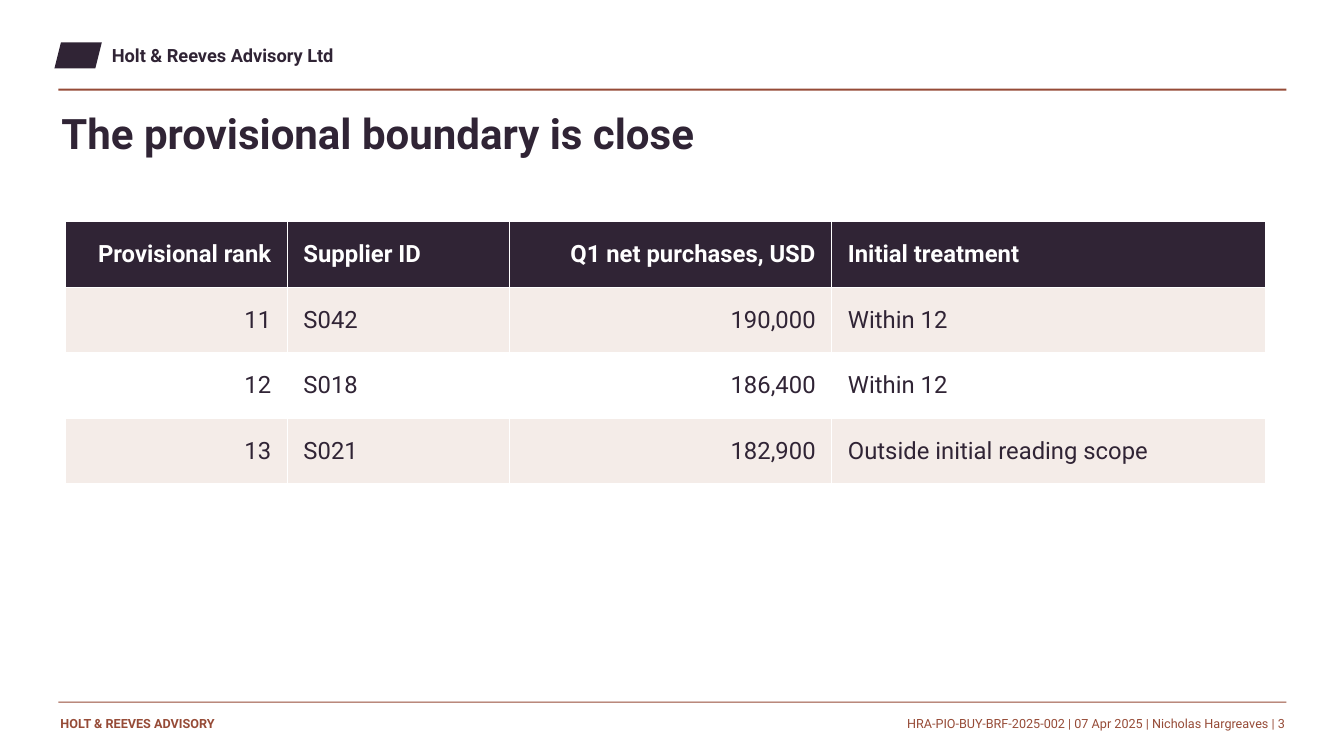
"""Build the supplier boundary slide with its ranking table."""
from pptx import Presentation
from pptx.dml.color import RGBColor
from pptx.enum.shapes import MSO_SHAPE
from pptx.enum.text import MSO_ANCHOR, PP_ALIGN
from pptx.util import Inches, Pt

PLUM = RGBColor(0x30, 0x24, 0x35)
RUST = RGBColor(0x96, 0x4B, 0x37)
BLUSH = RGBColor(0xF4, 0xEC, 0xE8)
WHITE = RGBColor(0xFF, 0xFF, 0xFF)

LEFT, RIGHT = PP_ALIGN.LEFT, PP_ALIGN.RIGHT

TEXTS = [
    ("Holt & Reeves Advisory Ltd", (1.11, 0.44, 6, 0.27), LEFT,
     {"size": Pt(13), "bold": True}, PLUM),
    ("The provisional boundary is close", (0.61, 1.07, 12, 0.78), LEFT,
     {"size": Pt(30), "bold": True}, PLUM),
    ("HOLT & REEVES ADVISORY", (0.6, 7.1, 3.4, 0.25), LEFT,
     {"size": Pt(9), "bold": True}, RUST),
    ("HRA-PIO-BUY-BRF-2025-002 | 07 Apr 2025 | Nicholas Hargreaves | 3",
     (4.12, 7.1, 8.62, 0.25), RIGHT, {"size": Pt(9), "bold": False}, RUST),
]
SHAPES = [
    (MSO_SHAPE.PARALLELOGRAM, (0.54, 0.42, 0.47, 0.26), PLUM),
    (MSO_SHAPE.RECTANGLE, (0.58, 0.88, 12.18, 0.02), RUST),
    (MSO_SHAPE.RECTANGLE, (0.58, 6.96, 12.18, 0.01), RUST),
]
COLUMNS = [
    ("Provisional rank", 2.2, RIGHT),
    ("Supplier ID", 2.2, LEFT),
    ("Q1 net purchases, USD", 3.2, RIGHT),
    ("Initial treatment", 4.3, LEFT),
]
SUPPLIERS = [
    ("11", "S042", "190,000", "Within 12"),
    ("12", "S018", "186,400", "Within 12"),
    ("13", "S021", "182,900", "Outside initial reading scope"),
]
ROW_HEIGHT = 0.65
CELL_FORMAT = {
    "vertical_anchor": MSO_ANCHOR.MIDDLE,
    "margin_left": Inches(0.16), "margin_right": Inches(0.16),
    "margin_top": Inches(0.05), "margin_bottom": Inches(0.05),
}
BOX_FORMAT = {
    "word_wrap": True, "vertical_anchor": MSO_ANCHOR.TOP,
    "margin_left": 0, "margin_right": 0, "margin_top": 0, "margin_bottom": 0,
}


def apply(target, values):
    for name, value in values.items():
        setattr(target, name, value)


def write(frame, wording, align, font, color):
    paragraph = frame.paragraphs[0]
    paragraph.alignment = align
    run = paragraph.add_run()
    run.text = wording
    apply(run.font, {"name": "Roboto", **font})
    run.font.color.rgb = color


def add_ranking(slide):
    rows = [[heading for heading, _, _ in COLUMNS], *SUPPLIERS]
    total_width = sum(width for _, width, _ in COLUMNS)
    ranking = slide.shapes.add_table(
        len(rows), len(COLUMNS), Inches(0.65), Inches(2.2),
        Inches(total_width), Inches(ROW_HEIGHT * len(rows))).table
    for column, (_, width, _) in zip(ranking.columns, COLUMNS):
        column.width = Inches(width)
    for r, row in enumerate(rows):
        ranking.rows[r].height = Inches(ROW_HEIGHT)
        header = r == 0
        fill = PLUM if header else BLUSH if r % 2 else WHITE
        for c, (wording, (_, _, align)) in enumerate(zip(row, COLUMNS)):
            cell = ranking.cell(r, c)
            apply(cell, CELL_FORMAT)
            cell.fill.solid()
            cell.fill.fore_color.rgb = fill
            write(cell.text_frame, wording, align,
                  {"size": Pt(17), "bold": header}, WHITE if header else PLUM)


def main():
    deck = Presentation()
    deck.slide_width, deck.slide_height = Inches(13.33), Inches(7.5)
    slide = deck.slides.add_slide(deck.slide_layouts[6])
    for preset, place, color in SHAPES:
        mark = slide.shapes.add_shape(preset, *map(Inches, place))
        mark.shadow.inherit = False
        mark.fill.solid()
        mark.fill.fore_color.rgb = color
        mark.line.fill.background()
    for wording, place, align, font, color in TEXTS:
        frame = slide.shapes.add_textbox(*map(Inches, place)).text_frame
        apply(frame, BOX_FORMAT)
        write(frame, wording, align, font, color)
    add_ranking(slide)
    deck.save("out.pptx")


if __name__ == "__main__":
    main()
